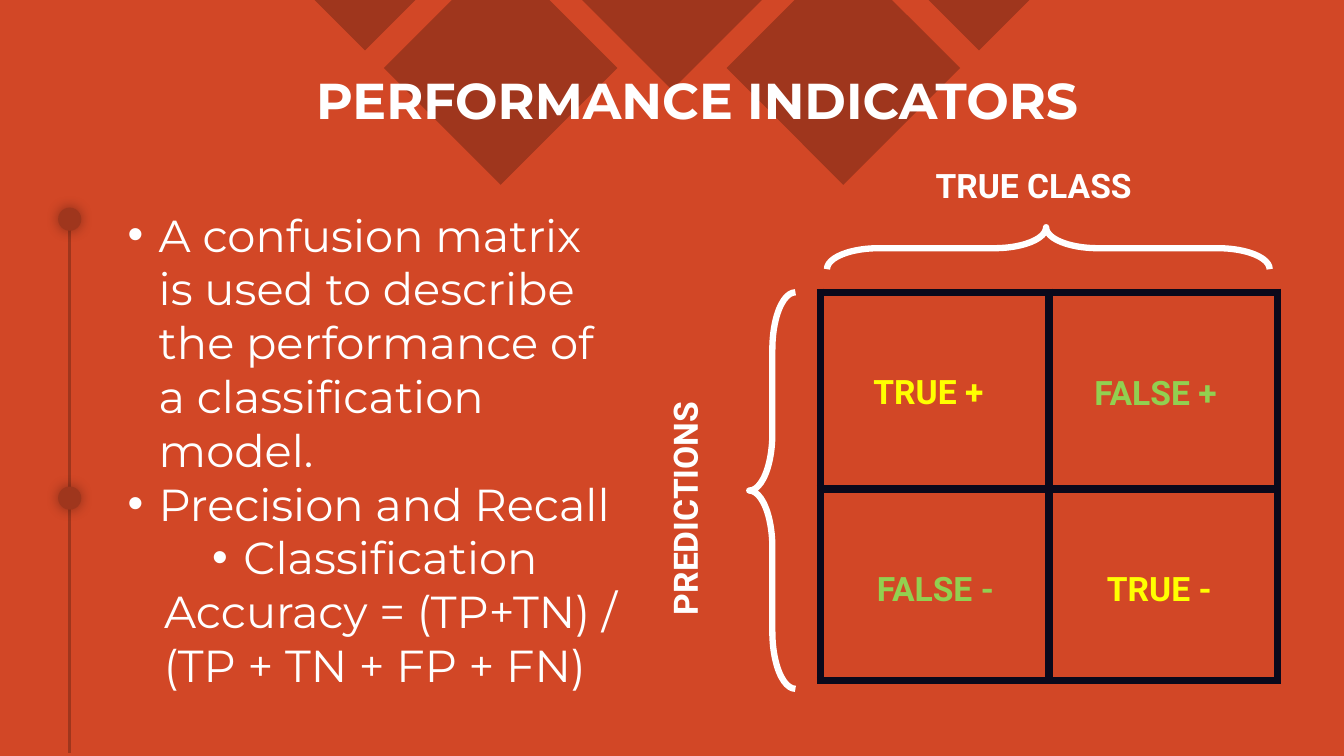
import dataclasses

import lxml.etree
import pptx
import pptx.dml.color
import pptx.enum.shapes
import pptx.enum.text
import pptx.oxml
import pptx.oxml.ns
import pptx.util

qn = pptx.oxml.ns.qn
ALIGN = pptx.enum.text.PP_ALIGN
ANCHOR = pptx.enum.text.MSO_ANCHOR
SHAPE = pptx.enum.shapes.MSO_SHAPE
CELL = pptx.util.Inches(1) / 12


@dataclasses.dataclass(frozen=True)
class Theme:
    background: str = "D24726"
    ornament: str = "9F361D"
    text: str = "FFFFFF"
    border: str = "0A091B"
    correct: str = "FFFF00"
    wrong: str = "92D050"
    heading_font: str = "Montserrat"
    label_font: str = "Roboto"
    title_size: int = 36
    body_size: int = 32
    label_size: int = 24
    rail_width: float = 2.25
    brace_width: float = 4.5
    border_width: float = 6


def rgb(value):
    return pptx.dml.color.RGBColor.from_string(value)


def grid(*cells):
    return [pptx.util.Emu(round(cell * CELL)) for cell in cells]


def child(parent, tag, **attributes):
    return lxml.etree.SubElement(parent, qn(tag), attributes)


def write(frame, text, *, font, size, color, bold=False, align=ALIGN.LEFT,
          spacing=None, bullet=False):
    paragraph = frame.add_paragraph() if frame.text else frame.paragraphs[0]
    paragraph.alignment = align
    paragraph.line_spacing = spacing
    if bullet:
        indent = pptx.util.Inches(0.31)
        properties = paragraph._p.get_or_add_pPr()
        properties.set("marL", str(indent))
        properties.set("indent", str(-indent))
        child(properties, "a:buFont", typeface="Arial")
        child(properties, "a:buChar", char="•")
    run = paragraph.add_run()
    run.text = text
    run.font.name = font
    run.font.size = pptx.util.Pt(size)
    run.font.bold = bold
    run.font.color.rgb = rgb(color)


class Deck:
    def __init__(self, theme, columns=160, rows=90):
        self.theme = theme
        self.presentation = pptx.Presentation()
        self.presentation.slide_width, self.presentation.slide_height = grid(columns, rows)
        self.slide = self.presentation.slides.add_slide(self.presentation.slide_layouts[6])
        fill = self.slide.background.fill
        fill.solid()
        fill.fore_color.rgb = rgb(theme.background)

    def paint(self, shape):
        shape.shadow.inherit = False
        shape.fill.solid()
        shape.fill.fore_color.rgb = rgb(self.theme.ornament)
        shape.line.fill.background()

    def diamond(self, column, row, half):
        cut = half - row
        outline = [(column - cut, 0), (column + cut, 0), (column + half, row),
                   (column, row + half), (column - half, row)]
        start, *corners = [grid(*point) for point in outline]
        builder = self.slide.shapes.build_freeform(*start, scale=1.0)
        builder.add_line_segments(corners, close=True)
        self.paint(builder.convert_to_shape())

    def rail(self, column, top, bottom):
        rail = self.slide.shapes.add_connector(
            pptx.enum.shapes.MSO_CONNECTOR.STRAIGHT, *grid(column, top, column, bottom))
        rail.line.color.rgb = rgb(self.theme.ornament)
        rail.line.width = pptx.util.Pt(self.theme.rail_width)
        child(rail._element.spPr, "a:effectLst")

    def dot(self, column, row, size=2.76):
        dot = self.slide.shapes.add_shape(
            SHAPE.OVAL, *grid(column - size / 2, row - size / 2, size, size))
        self.paint(dot)
        effects = dot._element.spPr.find(qn("a:effectLst"))
        glow = child(effects, "a:outerShdw", blurRad=str(pptx.util.Pt(9)), dist="0")
        child(child(glow, "a:srgbClr", val="000000"), "a:alpha", val="35000")

    def brace(self, area, tip=0.5, rotation=0):
        brace = self.slide.shapes.add_shape(SHAPE.LEFT_BRACE, *grid(*area))
        brace.shadow.inherit = False
        brace.adjustments[0] = 1.237
        brace.adjustments[1] = tip
        brace.rotation = rotation
        brace.fill.background()
        brace.line.color.rgb = rgb(self.theme.text)
        brace.line.width = pptx.util.Pt(self.theme.brace_width)

    def box(self, area, anchor=ANCHOR.TOP, rotation=0):
        box = self.slide.shapes.add_textbox(*grid(*area))
        box.rotation = rotation
        box.text_frame.word_wrap = True
        box.text_frame.vertical_anchor = anchor
        return box.text_frame

    def label(self, text, area, color, rotation=0):
        write(self.box(area, rotation=rotation), text, font=self.theme.label_font,
              size=self.theme.label_size, color=color, bold=True)

    def matrix(self, left, top, widths, heights):
        table = self.slide.shapes.add_table(
            len(heights), len(widths), *grid(left, top, sum(widths), sum(heights))).table
        table.first_row = table.horz_banding = False
        for column, width in zip(table.columns, grid(*widths)):
            column.width = width
        for row, height in zip(table.rows, grid(*heights)):
            row.height = height
        for cell in table.iter_cells():
            cell.fill.solid()
            cell.fill.fore_color.rgb = rgb(self.theme.background)
            properties = cell._tc.get_or_add_tcPr()
            for position, side in enumerate(("a:lnL", "a:lnR", "a:lnT", "a:lnB")):
                width = str(pptx.util.Pt(self.theme.border_width))
                border = child(properties, side, w=width)
                child(child(border, "a:solidFill"), "a:srgbClr", val=self.theme.border)
                properties.insert(position, border)


def main():
    theme = Theme()
    deck = Deck(theme)

    for offset, row, half in ((0, 0, 10.7), (20.4, 8.1, 13.9), (36.55, 0, 6)):
        for shift in sorted({-offset, offset}):
            deck.diamond(80 + shift, row, half)

    deck.rail(8.3, 25.8, 89.6)
    for row in (26.1, 59.3):
        deck.dot(8.3, row)

    write(deck.box((14, 3.6, 138, 17.4), ANCHOR.MIDDLE), "PERFORMANCE INDICATORS",
          font=theme.heading_font, size=theme.title_size, color=theme.text,
          bold=True, align=ALIGN.CENTER, spacing=0.9)

    deck.matrix(97.7, 34.8, (27.2, 27.2), (23.4, 22.8))
    deck.brace((89.2, 34.8, 5.5, 47.2))
    deck.brace((122.3, 3.2, 5, 52.7), tip=0.505, rotation=90)

    deck.label("PREDICTIONS", (66.5, 56.4, 30, 6), theme.text, rotation=270)
    deck.label("TRUE CLASS", (110.2, 19, 29.4, 6), theme.text)
    for outcome, left, top, width, color in (
            ("TRUE +", 102.8, 43.6, 16.9, theme.correct),
            ("TRUE -", 130.6, 67, 15.8, theme.correct),
            ("FALSE +", 129.1, 43.7, 19, theme.wrong),
            ("FALSE -", 103.2, 67, 17.9, theme.wrong)):
        deck.label(outcome, (left, top, width, 6), color)

    explanation = deck.box((14, 24.1, 61.3, 59.4))
    for sentence, align, bullet in (
            ("A confusion matrix is used to describe the performance of a "
             "classiﬁcation model.", ALIGN.LEFT, True),
            ("Precision and Recall", ALIGN.LEFT, True),
            ("Classiﬁcation Accuracy = (TP+TN) / ", ALIGN.CENTER, True),
            (" (TP + TN + FP + FN) ", ALIGN.CENTER, False)):
        write(explanation, sentence, font=theme.heading_font, size=theme.body_size,
              color=theme.text, align=align, bullet=bullet)

    deck.presentation.save("out.pptx")


if __name__ == "__main__":
    main()
